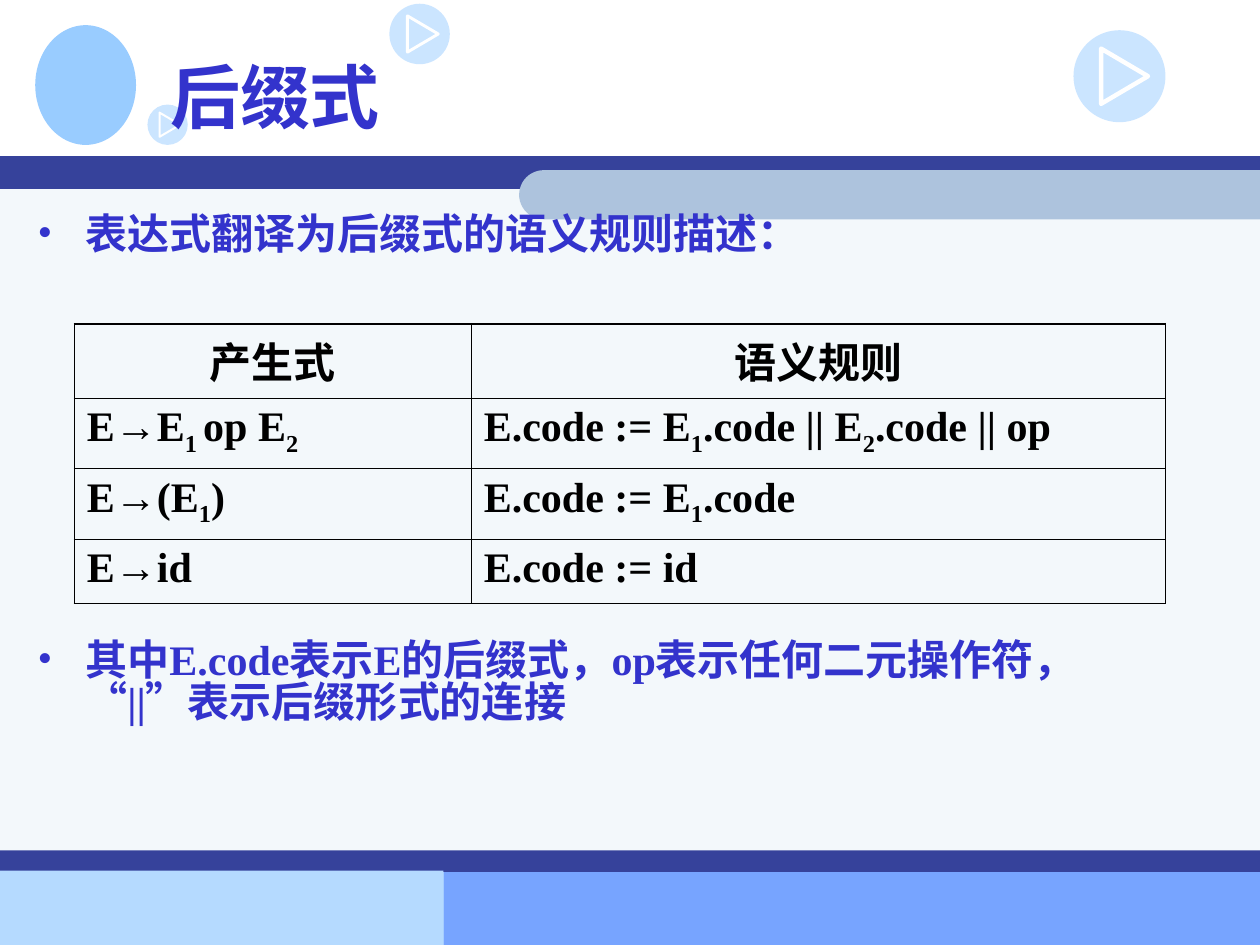
from lxml.etree import SubElement
from pptx import Presentation
from pptx.dml.color import RGBColor
from pptx.enum.shapes import MSO_SHAPE
from pptx.enum.text import MSO_ANCHOR, PP_ALIGN
from pptx.oxml.ns import qn
from pptx.util import Inches, Pt

# Content
TITLE = "后缀式"
BULLETS = [  # top, text
    (1.66, "表达式翻译为后缀式的语义规则描述："),
    (5.04, "其中E.code表示E的后缀式，op表示任何二元操作符，“||”表示后缀形式的连接"),
]
# Text between a pair of ~ marks is subscript
RULES = [
    ("产生式", "语义规则"),
    ("E→E~1 ~op E~2~", "E.code := E~1~.code || E~2~.code || op"),
    ("E→(E~1~)", "E.code := E~1~.code"),
    ("E→id", "E.code := id"),
]
COL_WIDTHS = [3.15, 5.51]
ROW_HEIGHTS = [0.59, 0.56, 0.56, 0.51]

# Decoration: left, top, width, height, colour
BANDS = [
    (0, 6.92, 4.25, 0.58, "B5DAFF"),
    (3.52, 6.91, 6.48, 0.59, "77A4FF"),
    (0, 1.4, 10, 5.51, "F3F8FB"),
    (0, 1.24, 10, 0.26, "36429B"),
    (0, 6.75, 10, 0.17, "36429B"),
    (0, 6.91, 3.52, 0.59, "B5DAFF"),
]
PLAY_ICONS = [(3.09, 0.03, 0.48), (8.52, 0.24, 0.73), (1.17, 0.83, 0.32)]
PLAY_TRIANGLE = [(0.3, 0.2), (0.3, 0.8), (0.81, 0.5)]

CJK, SERIF = "Noto Sans CJK SC", "Times New Roman"
BLUE, BLACK = "3333CC", "000000"
BODY_FONT = {"size": Pt(24), "name": SERIF, "bold": True}
TITLE_FONT = {"size": Pt(40), "name": CJK, "bold": True}


def rgb(value):
    return RGBColor.from_string(value)


def paint(sp, color):
    sp.shadow.inherit = False
    sp.fill.solid()
    sp.fill.fore_color.rgb = rgb(color)
    sp.line.fill.background()


def add_block(s, kind, left, top, width, height, color):
    sp = s.shapes.add_shape(kind, Inches(left), Inches(top), Inches(width), Inches(height))
    paint(sp, color)
    return sp


def add_text(p, text, font, color):
    for i, piece in enumerate(text.split("~")):
        if not piece:
            continue
        r = p.add_run()
        r.text = piece
        for name, value in font.items():
            setattr(r.font, name, value)
        r.font.color.rgb = rgb(color)
        rpr = r.font._element
        SubElement(rpr, qn("a:ea")).set("typeface", CJK)
        if i % 2:
            rpr.set("baseline", "-25000")


def set_bullet(p, color):
    ppr = p._p.get_or_add_pPr()
    ppr.set("marL", str(Inches(0.38)))
    ppr.set("indent", str(Inches(-0.38)))
    SubElement(SubElement(ppr, qn("a:buClr")), qn("a:srgbClr")).set("val", color)
    SubElement(ppr, qn("a:buFont")).set("typeface", SERIF)
    SubElement(ppr, qn("a:buChar")).set("char", "•")


def add_play_icon(s, left, top, size):
    disc = add_block(s, MSO_SHAPE.OVAL, left, top, size, size, "99CCFF")
    clr = disc.fill._xPr.find(".//" + qn("a:srgbClr"))
    SubElement(clr, qn("a:alpha")).set("val", "50000")
    points = [(Inches(left + x * size), Inches(top + y * size)) for x, y in PLAY_TRIANGLE]
    builder = s.shapes.build_freeform(*points[0])
    builder.add_line_segments(points[1:], close=True)
    triangle = builder.convert_to_shape()
    triangle.shadow.inherit = False
    triangle.fill.background()
    triangle.line.color.rgb = rgb("FFFFFF")
    triangle.line.width = Pt(3.5 * size)


def set_borders(cell, widths):
    tcpr = cell._tc.get_or_add_tcPr()
    for i, (side, width) in enumerate(widths.items()):
        ln = tcpr.makeelement(qn("a:ln" + side), {"w": str(Pt(width))})
        fill = SubElement(ln, qn("a:solidFill"))
        SubElement(fill, qn("a:srgbClr")).set("val", BLACK)
        tcpr.insert(i, ln)


def add_rules_table(s):
    rows, cols = len(RULES), len(COL_WIDTHS)
    table = s.shapes.add_table(rows, cols, Inches(0.59), Inches(2.57),
                               Inches(sum(COL_WIDTHS)), Inches(sum(ROW_HEIGHTS))).table
    table.first_row = table.horz_banding = False
    for col, width in zip(table.columns, COL_WIDTHS):
        col.width = Inches(width)
    for row, height in zip(table.rows, ROW_HEIGHTS):
        row.height = Inches(height)
    for i, rule in enumerate(RULES):
        for j, text in enumerate(rule):
            cell = table.cell(i, j)
            cell.fill.background()
            p = cell.text_frame.paragraphs[0]
            p.alignment = PP_ALIGN.LEFT if i else PP_ALIGN.CENTER
            add_text(p, text, BODY_FONT, BLACK)
            # Outer edges are heavier than inner ones
            outer = {"L": j == 0, "R": j == cols - 1, "T": i == 0, "B": i == rows - 1}
            set_borders(cell, {side: 1.08 if edge else 0.45 for side, edge in outer.items()})


def main():
    prs = Presentation()
    prs.slide_width, prs.slide_height = Inches(10), Inches(7.5)
    s = prs.slides.add_slide(prs.slide_layouts[5])

    # Bands, emblem and play icons
    for band in BANDS:
        add_block(s, MSO_SHAPE.RECTANGLE, *band)
    length, height = 5.88, 0.39
    tab = add_block(s, MSO_SHAPE.ROUND_2_SAME_RECTANGLE, 4.12 + (length - height) / 2,
                    1.35 - (length - height) / 2, height, length, "ADC3DD")
    tab.adjustments[0] = 0.5
    tab.rotation = 270
    add_block(s, MSO_SHAPE.OVAL, 0.28, 0.2, 0.8, 0.95, "99CCFF")
    for icon in PLAY_ICONS:
        add_play_icon(s, *icon)

    # Title, in front of the decoration
    title = s.shapes.title
    s.shapes._spTree.append(title._element)
    title.left, title.top, title.width, title.height = map(Inches, (1.25, 0.17, 8.5, 1.17))
    title.text_frame.vertical_anchor = MSO_ANCHOR.MIDDLE
    p = title.text_frame.paragraphs[0]
    p.alignment = PP_ALIGN.LEFT
    add_text(p, TITLE, TITLE_FONT, BLUE)

    # Bullets around the table
    for top, text in BULLETS:
        tf = s.shapes.add_textbox(Inches(0.2), Inches(top), Inches(8.65), Inches(0.95)).text_frame
        tf.word_wrap = True
        p = tf.paragraphs[0]
        set_bullet(p, BLUE)
        p.line_spacing = 0.84
        add_text(p, text, BODY_FONT, BLUE)

    add_rules_table(s)
    prs.save("out.pptx")


if __name__ == "__main__":
    main()
